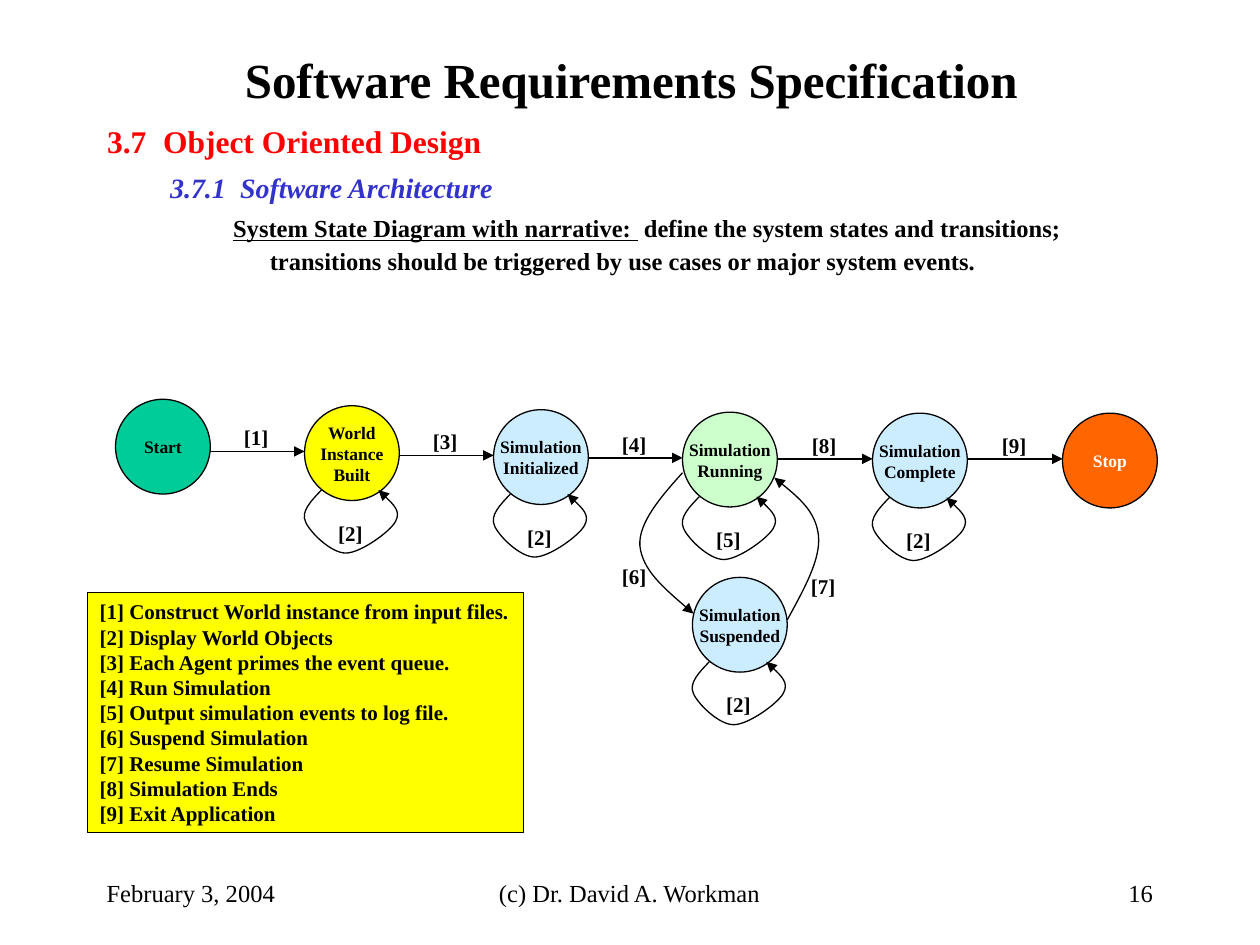
import pptx
import pptx.util
import pptx.dml.color
import pptx.enum.shapes
import pptx.enum.text
import pptx.oxml
import pptx.oxml.ns

Cm = pptx.util.Cm
Pt = pptx.util.Pt
RGBColor = pptx.dml.color.RGBColor
Align = pptx.enum.text.PP_ALIGN
Anchor = pptx.enum.text.MSO_ANCHOR
Shape = pptx.enum.shapes.MSO_SHAPE

FONT = "Times New Roman"
BLACK = RGBColor(0x00, 0x00, 0x00)
WHITE = RGBColor(0xFF, 0xFF, 0xFF)
RED = RGBColor(0xFF, 0x00, 0x00)
BLUE = RGBColor(0x33, 0x33, 0xCC)
TEAL = RGBColor(0x00, 0xCC, 0x99)
YELLOW = RGBColor(0xFF, 0xFF, 0x00)
SKY = RGBColor(0xCC, 0xEC, 0xFF)
MINT = RGBColor(0xCC, 0xFF, 0xCC)
ORANGE = RGBColor(0xFF, 0x66, 0x00)

SIZE = 1.91
GAP = 1.9
STATES = [
    (0, 0, ["Start"], TEAL, None, None),
    (3.81, 0.13, ["World", "Instance", "Built"], YELLOW, "[1]", "[2]"),
    (7.62, 0.21, ["Simulation", "Initialized"], SKY, "[3]", "[2]"),
    (11.43, 0.26, ["Simulation", "Running"], MINT, "[4]", "[5]"),
    (15.26, 0.28, ["Simulation", "Complete"], SKY, "[8]", "[2]"),
    (19.09, 0.28, ["Stop"], ORANGE, "[9]", None),
]
LOOP = [(0.34, 1.7), (0.14, 1.91), (-0.08, 2.13), (0.02, 2.34),
        (0.1, 2.54), (0.53, 2.97), (0.83, 2.97),
        (1.13, 2.97), (1.72, 2.54), (1.83, 2.34),
        (1.95, 2.13), (1.72, 1.91), (1.49, 1.7)]
PAUSE = [(0, 1.22), (-0.46, 1.73), (-0.89, 2.24), (-0.86, 2.69),
         (-0.81, 3.18), (-0.3, 3.61), (0.22, 4.06)]
RESUME = [(2.11, 4.19), (2.44, 3.58), (2.79, 2.97), (2.74, 2.49),
          (2.69, 2.01), (2.26, 1.65), (1.85, 1.32)]
LEGEND = [
    "[1] Construct World instance from input files.",
    "[2] Display World Objects",
    "[3] Each Agent primes the event queue.",
    "[4] Run Simulation",
    "[5] Output simulation events to log file.",
    "[6] Suspend Simulation",
    "[7] Resume Simulation",
    "[8] Simulation Ends",
    "[9] Exit Application",
]
OUTLINE = [
    (1.13, -1.13, 1.57, 0, 18, RED, False, [("3.7\tObject Oriented Design", False)]),
    (2.68, -1.41, 1.1, 4, 16, BLUE, True, [("3.7.1\tSoftware Architecture", False)]),
    (3.28, -0.74, 1.1, 3.5, 14, BLACK, False, [
        ("System State Diagram with narrative: ", True),
        (" define the system states and transitions; transitions should be "
         "triggered by use cases or major system events.", False)]),
]


def add_run(para, text, size, color=BLACK, bold=True):
    """Add one styled run to a paragraph."""
    run = para.add_run()
    run.text = text
    run.font.name = FONT
    run.font.size = Pt(size)
    run.font.bold = bold
    run.font.color.rgb = color
    return run


def fill_text(frame, lines, size, color=BLACK, align=Align.CENTER,
              anchor=Anchor.MIDDLE, wrap=False, bold=True):
    """Write lines of text into a frame, one paragraph each."""
    frame.word_wrap = wrap
    frame.vertical_anchor = anchor
    for num, line in enumerate(lines):
        para = frame.add_paragraph() if num else frame.paragraphs[0]
        para.alignment = align
        add_run(para, line, size, color, bold)


def add_box(slide, kind, box, fill):
    """Add a filled shape with a thin black outline."""
    shape = slide.shapes.add_shape(kind, *map(Cm, box))
    shape.shadow.inherit = False
    shape.fill.solid()
    shape.fill.fore_color.rgb = fill
    shape.line.color.rgb = BLACK
    shape.line.width = Pt(0.75)
    return shape


def add_text(slide, box, text, size, **style):
    """Add a text box holding a single line."""
    frame = slide.shapes.add_textbox(*map(Cm, box)).text_frame
    fill_text(frame, [text], size, **style)
    return frame


def add_label(slide, left, top, text):
    """Add a transition number."""
    frame = add_text(slide, (left, top, 0.99, 0.76), text, 12, anchor=Anchor.TOP)
    frame.margin_left = frame.margin_right = 0


def style_arrow(shape):
    """Give a line its black stroke and end arrowhead."""
    shape.line.color.rgb = BLACK
    shape.line.width = Pt(0.75)
    head = pptx.oxml.parse_xml(
        '<a:tailEnd %s type="triangle"/>' % pptx.oxml.ns.nsdecls("a"))
    shape.line._get_or_add_ln().append(head)


def add_link(slide, left, right, top):
    """Add a straight arrow between two states."""
    link = slide.shapes.add_connector(
        pptx.enum.shapes.MSO_CONNECTOR.STRAIGHT, Cm(left), Cm(top), Cm(right), Cm(top))
    style_arrow(link)
    link._element.spPr.append(pptx.oxml.parse_xml(
        "<a:effectLst %s/>" % pptx.oxml.ns.nsdecls("a")))


def add_curve(slide, left, top, knots):
    """Draw a chain of cubic curves that ends in an arrowhead."""
    dots = [(Cm(left + x), Cm(top + y)) for x, y in knots]
    pen = slide.shapes.build_freeform(*dots[0])
    pen.add_line_segments(dots[1:], close=False)
    curve = pen.convert_to_shape()
    legs = curve._element.xpath(".//a:lnTo")
    for start in range(0, len(legs), 3):
        bend = pptx.oxml.parse_xml(
            "<a:cubicBezTo %s/>" % pptx.oxml.ns.nsdecls("a"))
        legs[start].addprevious(bend)
        for leg in legs[start:start + 3]:
            bend.append(leg[0])
            leg.getparent().remove(leg)
    curve.shadow.inherit = False
    curve.fill.background()
    style_arrow(curve)


def add_state(slide, left, top, lines, fill, loop):
    """Draw a state circle and its numbered loop, if any."""
    disc = add_box(slide, Shape.OVAL, (left, top, SIZE, SIZE), fill)
    fill_text(disc.text_frame, lines, 10, WHITE if fill == ORANGE else BLACK)
    if loop:
        add_curve(slide, left, top, LOOP)
        add_label(slide, left + 0.43, top + 2.18, loop)


def draw_states(slide, left, top):
    """Draw the state diagram from its top left corner."""
    for shift, drop, lines, fill, link, loop in STATES:
        x, y = left + shift, top + drop
        add_state(slide, x, y, lines, fill, loop)
        if link:
            add_link(slide, x - GAP, x, y + 0.92)
            add_label(slide, x - GAP + 0.43, y + 0.26, link)
    x, y = left + STATES[3][0], top + STATES[3][1]
    add_state(slide, x + 0.2, y + 3.33, ["Simulation", "Suspended"], SKY, "[2]")
    add_curve(slide, x, y, PAUSE)
    add_label(slide, x - 1.47, y + 2.92, "[6]")
    add_curve(slide, x, y, RESUME)
    add_label(slide, x + 2.34, y + 3.13, "[7]")


def draw_body(slide, box):
    """Write the numbered headings and the narrative."""
    frame = slide.shapes.add_textbox(*map(Cm, box)).text_frame
    frame.word_wrap = True
    for num, (margin, indent, pitch, before, size, color, slant, runs) in enumerate(OUTLINE):
        para = frame.add_paragraph() if num else frame.paragraphs[0]
        props = para._p.get_or_add_pPr()
        props.set("marL", str(Cm(margin)))
        props.set("indent", str(Cm(indent)))
        para.line_spacing = pitch
        para.space_before = Pt(before)
        for text, under in runs:
            run = add_run(para, text, size, color)
            run.font.italic = slant
            run.font.underline = under


def draw_legend(slide, box):
    """List the transitions in a yellow panel."""
    panel = add_box(slide, Shape.RECTANGLE, box, YELLOW)
    fill_text(panel.text_frame, LEGEND, 12, align=Align.LEFT, anchor=Anchor.TOP)


def draw_footer(slide, left, top):
    """Write the date, author and page number."""
    for shift, width, text, align in (
            (0, 5.29, "February 3, 2004", Align.LEFT),
            (6.77, 8.04, "(c) Dr. David A. Workman", Align.CENTER),
            (16.3, 5.29, "16", Align.RIGHT)):
        add_text(slide, (left + shift, top, width, 1.27), text, 14,
                 align=align, wrap=True, bold=False)


def main():
    """Build the slide and save it."""
    deck = pptx.Presentation()
    deck.slide_width, deck.slide_height = Cm(25.4), Cm(19.05)
    slide = deck.slides.add_slide(deck.slide_layouts[6])
    add_text(slide, (1.93, 0.75, 21.59, 1.68),
             "Software Requirements Specification", 28, wrap=True)
    draw_body(slide, (1.91, 1.91, 21.59, 4.45))
    draw_states(slide, 2.33, 8.05)
    draw_legend(slide, (1.76, 11.95, 8.79, 4.83))
    draw_footer(slide, 1.9, 17.36)
    deck.save("out.pptx")


if __name__ == "__main__":
    main()
